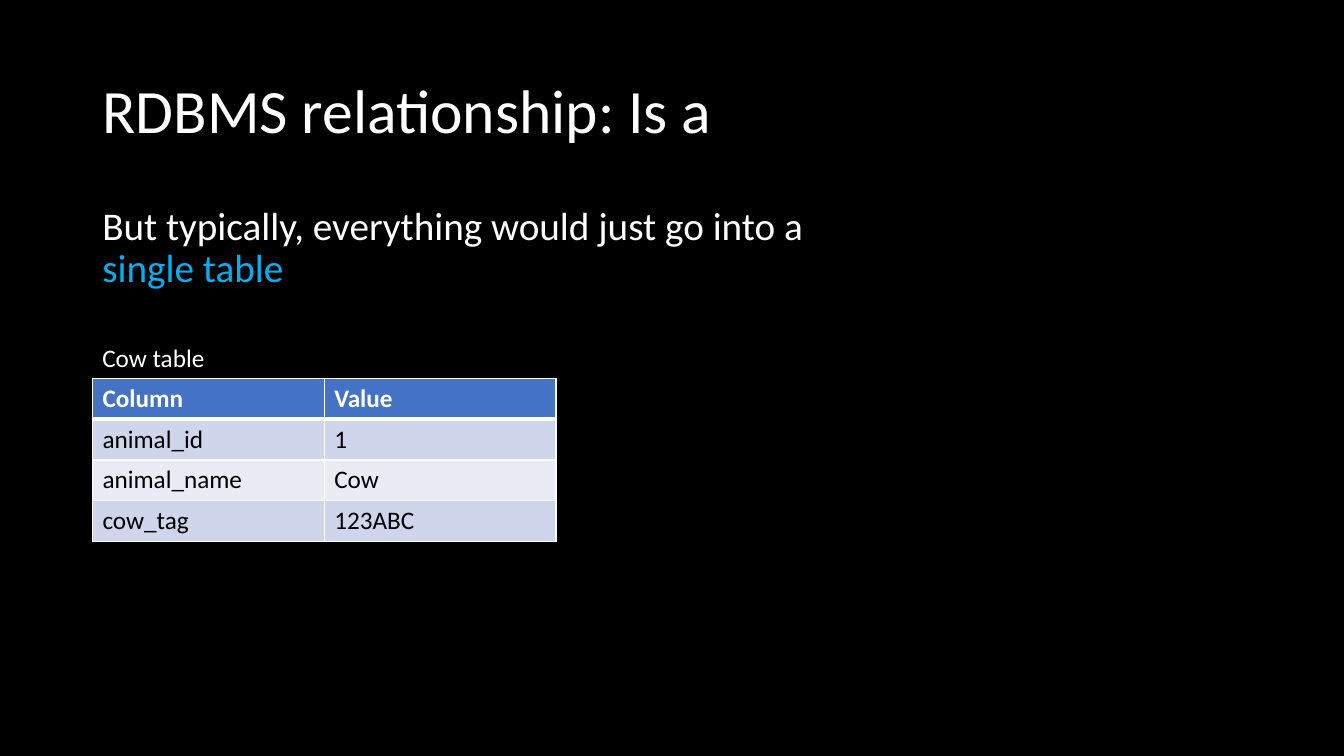
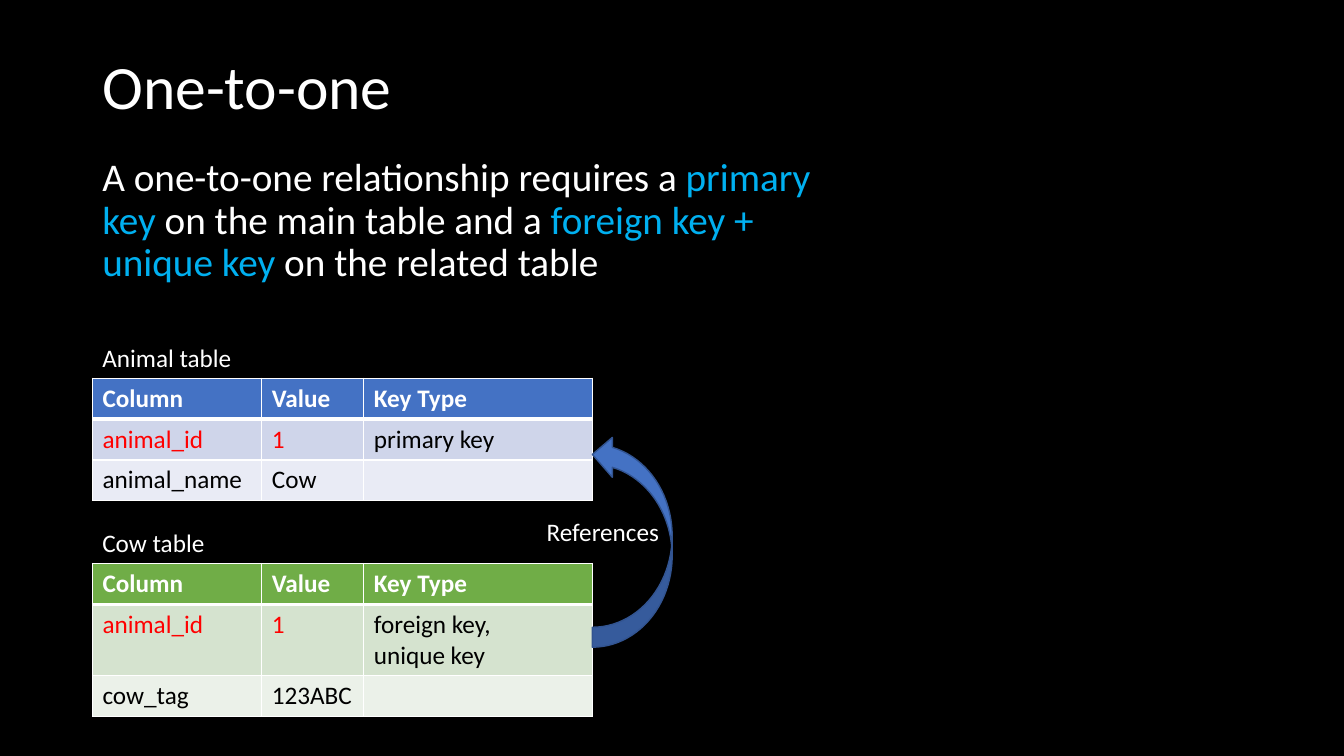
import pptx
import pptx.dml.color
import pptx.enum.shapes
import pptx.enum.text
import pptx.util
from lxml import etree
from pptx.oxml.ns import qn

Cm = pptx.util.Cm
Pt = pptx.util.Pt
PP_ALIGN = pptx.enum.text.PP_ALIGN
MSO_ANCHOR = pptx.enum.text.MSO_ANCHOR

# Shared colours and text formats
BLACK, WHITE, ACCENT, KEY_RED = "000000", "FFFFFF", "00B0F0", "FF0000"
BLUE_BANDS = ("4472C4", "CFD5EA", "E9EBF5")
GREEN_BANDS = ("70AD47", "D5E3CF", "EBF1E9")
TITLE = {"name": "Calibri", "size": Pt(44)}
BODY = {"name": "Calibri", "size": Pt(28)}
SMALL = {"name": "Calibri", "size": Pt(18), "bold": False}
HEADER = {**SMALL, "bold": True}

# Shared measures in centimetres
LEFT = 2.33
ROW_HEIGHT = 1.03
FIRST_TABLE_TOP = 9.53
CAPTION_WIDTH = 3.91


def rgb(value):
    return pptx.dml.color.RGBColor.from_string(value)


def paint(fill, colour):
    fill.solid()
    fill.fore_color.rgb = rgb(colour)


def write(paragraph, parts, font_format):
    """Write (text, colour) parts; a newline becomes a line break."""
    for text, colour in parts:
        for index, line in enumerate(text.split("\n")):
            if index:
                paragraph.add_line_break()
            run = paragraph.add_run()
            run.text = line
            run.font.color.rgb = rgb(colour)
            for name, value in font_format.items():
                setattr(run.font, name, value)


def add_text(slide, box, parts, font_format, anchor=MSO_ANCHOR.TOP, **paragraph_format):
    shape = slide.shapes.add_textbox(*map(Cm, box))
    frame = shape.text_frame
    frame.word_wrap = True
    frame.vertical_anchor = anchor
    paragraph = frame.paragraphs[0]
    for name, value in paragraph_format.items():
        setattr(paragraph, name, value)
    write(paragraph, parts, font_format)


def add_heading(slide, title, title_height, body_top, body_height, body_parts):
    add_text(slide, (LEFT, 1.02, 29.21, title_height), [(title, WHITE)], TITLE,
             MSO_ANCHOR.MIDDLE, line_spacing=0.9)
    add_text(slide, (LEFT, body_top, 19.74, body_height), body_parts, BODY,
             line_spacing=0.9)


def add_label(slide, left, top, text, alignment=PP_ALIGN.LEFT):
    add_text(slide, (left, top, CAPTION_WIDTH, ROW_HEIGHT), [(text, WHITE)], SMALL,
             alignment=alignment)


def set_borders(cell, widths):
    """Draw white borders on the sides given in schema order."""
    properties = cell._tc.get_or_add_tcPr()
    for index, (side, width) in enumerate(widths.items()):
        line = etree.Element(qn(f"a:ln{side}"), w=str(Pt(width)))
        fill = etree.SubElement(line, qn("a:solidFill"))
        etree.SubElement(fill, qn("a:srgbClr"), val=WHITE)
        properties.insert(index, line)


def add_captioned_table(slide, top, caption, rows, column_widths, bands, key_cells=0):
    """Add a banded table; key_cells counts the red cells in its first data row."""
    add_label(slide, LEFT, top - ROW_HEIGHT, caption)
    frame = slide.shapes.add_table(
        len(rows), len(column_widths), Cm(LEFT), Cm(top),
        Cm(sum(column_widths)), Cm(ROW_HEIGHT * len(rows)))
    table = frame.table
    for column, width in zip(table.columns, column_widths):
        column.width = Cm(width)
    header_fill, *body_fills = bands
    for row_index, values in enumerate(rows):
        is_header = row_index == 0
        has_break = any("\n" in value for value in values)
        table.rows[row_index].height = Cm(1.8 if has_break else ROW_HEIGHT)
        for column_index, value in enumerate(values):
            cell = table.cell(row_index, column_index)
            is_key = row_index == 1 and column_index < key_cells
            colour = WHITE if is_header else KEY_RED if is_key else BLACK
            paint(cell.fill, header_fill if is_header else body_fills[(row_index - 1) % 2])
            set_borders(cell, {"L": 1, "R": 1, "T": 3 if row_index == 1 else 1,
                               "B": 3 if is_header else 1})
            if value:
                write(cell.text_frame.paragraphs[0], [(value, colour)],
                      HEADER if is_header else SMALL)


def add_reference_arrow(slide, left, top, width, height):
    """Add a curved arrow that points back up to the left."""
    shape = slide.shapes.add_shape(
        pptx.enum.shapes.MSO_SHAPE.CURVED_LEFT_ARROW, *map(Cm, (left, top, width, height)))
    shape.shadow.inherit = False
    paint(shape.fill, BLUE_BANDS[0])
    shape.line.color.rgb = rgb("325491")
    shape.line.width = Pt(1)
    shape._element.spPr.find(qn("a:xfrm")).set("flipV", "1")


def build_single_table(slide):
    add_heading(slide, "RDBMS relationship: Is a", 3.68, 5.08, 2.87, [
        ("But typically, everything would just go into a ", WHITE),
        ("single table", ACCENT)])
    add_captioned_table(slide, FIRST_TABLE_TOP, "Cow table", [
        ("Column", "Value"),
        ("animal_id", "1"),
        ("animal_name", "Cow"),
        ("cow_tag", "123ABC")], (5.84, 5.84), BLUE_BANDS)


def build_one_to_one(slide):
    add_heading(slide, "One-to-one", 2.46, 3.86, 3.68, [
        ("A one-to-one relationship requires a ", WHITE),
        ("primary key ", ACCENT),
        ("on the main table and a ", WHITE),
        ("foreign key + unique key", ACCENT),
        (" on the related table", WHITE)])
    header = ("Column", "Value", "Key Type")
    widths = (4.27, 2.57, 5.76)
    add_captioned_table(slide, FIRST_TABLE_TOP, "Animal table", [
        header,
        ("animal_id", "1", "primary key"),
        ("animal_name", "Cow", "")], widths, BLUE_BANDS, key_cells=2)
    add_captioned_table(slide, 14.2, "Cow table", [
        header,
        ("animal_id", "1", "foreign key, \nunique key"),
        ("cow_tag", "123ABC", "")], widths, GREEN_BANDS, key_cells=2)
    # Link from the foreign key back to the primary key
    add_reference_arrow(slide, LEFT + sum(widths), 10.95, 2.01, 5.36)
    add_label(slide, 12.95, 12.88, "References", PP_ALIGN.RIGHT)


def main():
    presentation = pptx.Presentation()
    presentation.slide_width = Cm(33.87)
    presentation.slide_height = Cm(19.05)
    paint(presentation.slide_master.background.fill, BLACK)
    blank_layout = presentation.slide_layouts[6]
    for build in (build_single_table, build_one_to_one):
        build(presentation.slides.add_slide(blank_layout))
    presentation.save("out.pptx")


if __name__ == "__main__":
    main()
